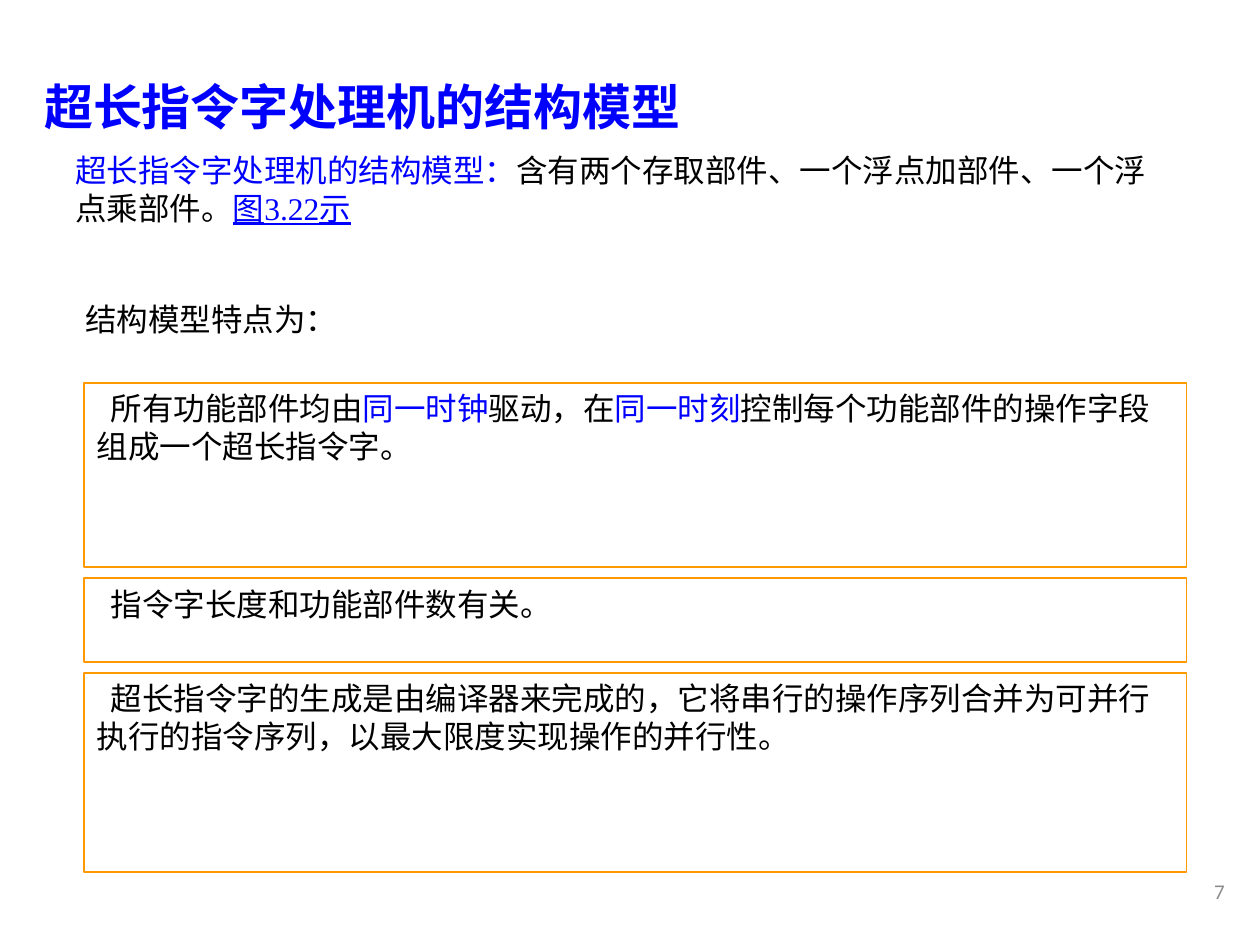
from dataclasses import dataclass

from lxml.etree import SubElement
from pptx import Presentation
from pptx.dml.color import RGBColor
from pptx.enum.lang import MSO_LANGUAGE_ID
from pptx.enum.shapes import MSO_SHAPE
from pptx.enum.text import MSO_ANCHOR, PP_ALIGN
from pptx.oxml.ns import qn
from pptx.util import Cm, Pt


@dataclass(frozen=True)
class Theme:
    blue: RGBColor = RGBColor(0x00, 0x00, 0xFF)
    black: RGBColor = RGBColor(0x00, 0x00, 0x00)
    grey: RGBColor = RGBColor(0x8C, 0x8C, 0x8C)
    white: RGBColor = RGBColor(0xFF, 0xFF, 0xFF)
    orange: RGBColor = RGBColor(0xFF, 0x99, 0x00)
    body_font: str = "Calibri"
    heading_font: str = "Noto Sans CJK SC"
    figure_font: str = "Times New Roman"
    title_size: int = 28
    body_size: int = 18
    number_size: int = 12


THEME = Theme()


def add_run(paragraph, words, color=THEME.black, size=THEME.body_size,
            font=THEME.body_font, bold=False, underline=False):
    run = paragraph.add_run()
    run.text = words
    run.font.size = Pt(size)
    run.font.bold = bold
    run.font.underline = underline
    run.font.color.rgb = color
    run.font.name = font
    run.font.language_id = MSO_LANGUAGE_ID.CHINESE_SINGAPORE
    # East Asian glyphs share the body font's line height
    SubElement(run.font._element, qn("a:ea"), typeface=THEME.body_font)


def add_label(slide, box, align=PP_ALIGN.LEFT, anchor=MSO_ANCHOR.TOP):
    frame = slide.shapes.add_textbox(*box).text_frame
    frame.word_wrap = True
    frame.vertical_anchor = anchor
    frame.paragraphs[0].alignment = align
    return frame.paragraphs[0]


def add_panel(slide, box, bordered=True):
    """Half-transparent white panel; returns its paragraph."""
    panel = slide.shapes.add_shape(MSO_SHAPE.RECTANGLE, *box)
    panel.shadow.inherit = False
    panel.fill.solid()
    panel.fill.fore_color.rgb = THEME.white
    fill_color = panel._element.spPr.find(qn("a:solidFill"))[0]
    SubElement(fill_color, qn("a:alpha"), val="50000")
    if bordered:
        panel.line.color.rgb = THEME.orange
        panel.line.width = Pt(1)
    else:
        panel.line.fill.background()
    frame = panel.text_frame
    frame.word_wrap = True
    frame.vertical_anchor = MSO_ANCHOR.TOP
    frame.paragraphs[0].alignment = PP_ALIGN.LEFT
    return frame.paragraphs[0]


def add_title(slide, box):
    title = add_label(slide, box, PP_ALIGN.JUSTIFY)
    for words, font in (("超长指令字", THEME.body_font),
                        ("处理机的结构模型", THEME.heading_font)):
        add_run(title, words, THEME.blue, THEME.title_size, font, bold=True)


def add_summary(slide, box):
    summary = add_panel(slide, box, bordered=False)
    add_run(summary, "超长指令字处理机的结构模型：", THEME.blue)
    add_run(summary, "含有两个存取部件、一个浮点加部件、一个浮点乘部件。")
    for words, font in (("图", THEME.body_font), ("3.22", THEME.figure_font),
                        ("示", THEME.body_font)):
        add_run(summary, words, THEME.blue, font=font, underline=True)


def add_features(slide, left, top, width, gap):
    """Stack of bordered panels, one for each feature."""
    features = (
        (Cm(3.71), (("所有功能部件均由", THEME.black),
                    ("同一时钟", THEME.blue),
                    ("驱动，在", THEME.black),
                    ("同一时刻", THEME.blue),
                    ("控制每个功能部件的操作字段组成一个超长指令字。", THEME.black))),
        (Cm(1.68), (("指令字长度和功能部件数有关。", THEME.black),)),
        (Cm(4.01), (("超长指令字的生成是由编译器来完成的，它将串行的操作序列合并为"
                     "可并行执行的指令序列，以最大限度实现操作的并行性。",
                     THEME.black),)),
    )
    for height, parts in features:
        feature = add_panel(slide, (left, top, width, height))
        feature._p.get_or_add_pPr().set("indent", str(Cm(0.28)))
        for words, color in parts:
            add_run(feature, words, color)
        top += height + gap


def add_page_number(slide, box):
    number = add_label(slide, box, PP_ALIGN.RIGHT, MSO_ANCHOR.MIDDLE)
    add_run(number, "7", THEME.grey, THEME.number_size)


def main():
    deck = Presentation()
    deck.slide_width, deck.slide_height = Cm(25.4), Cm(19.05)
    slide = deck.slides.add_slide(deck.slide_layouts[6])

    # Heading and summary
    add_title(slide, (Cm(0.64), Cm(1.42), Cm(19.48), Cm(1.52)))
    add_summary(slide, (Cm(1.27), Cm(2.92), Cm(22.22), Cm(2.97)))

    # Features of the model
    lead_in = add_label(slide, (Cm(1.47), Cm(5.92), Cm(16.31), Cm(1.45)))
    add_run(lead_in, "结构模型特点为：")
    add_features(slide, Cm(1.7), Cm(7.72), Cm(22.22), gap=Cm(0.23))

    # Footer
    add_page_number(slide, (Cm(19.66), Cm(17.32), Cm(5.28), Cm(1.27)))
    deck.save("out.pptx")


if __name__ == "__main__":
    main()
